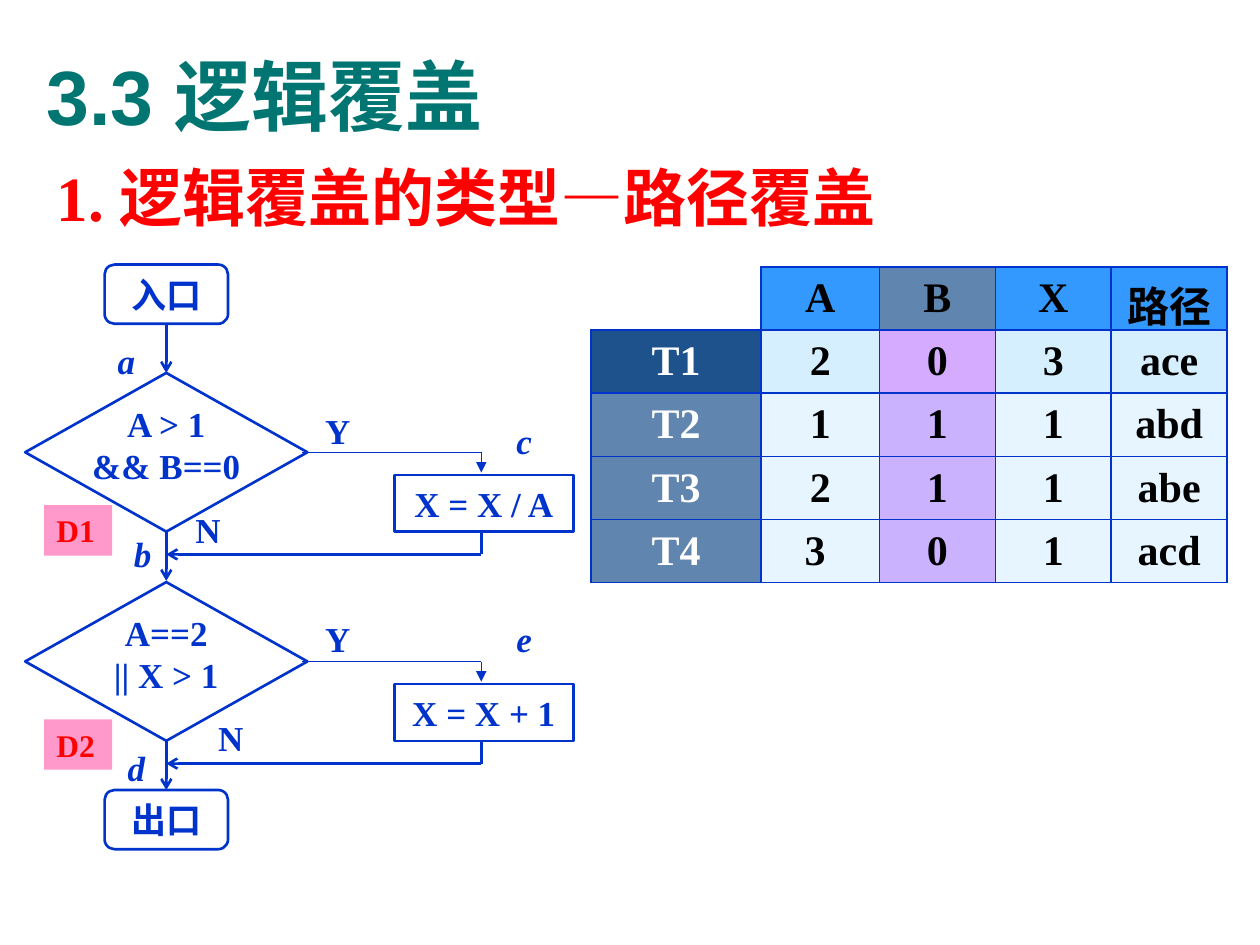
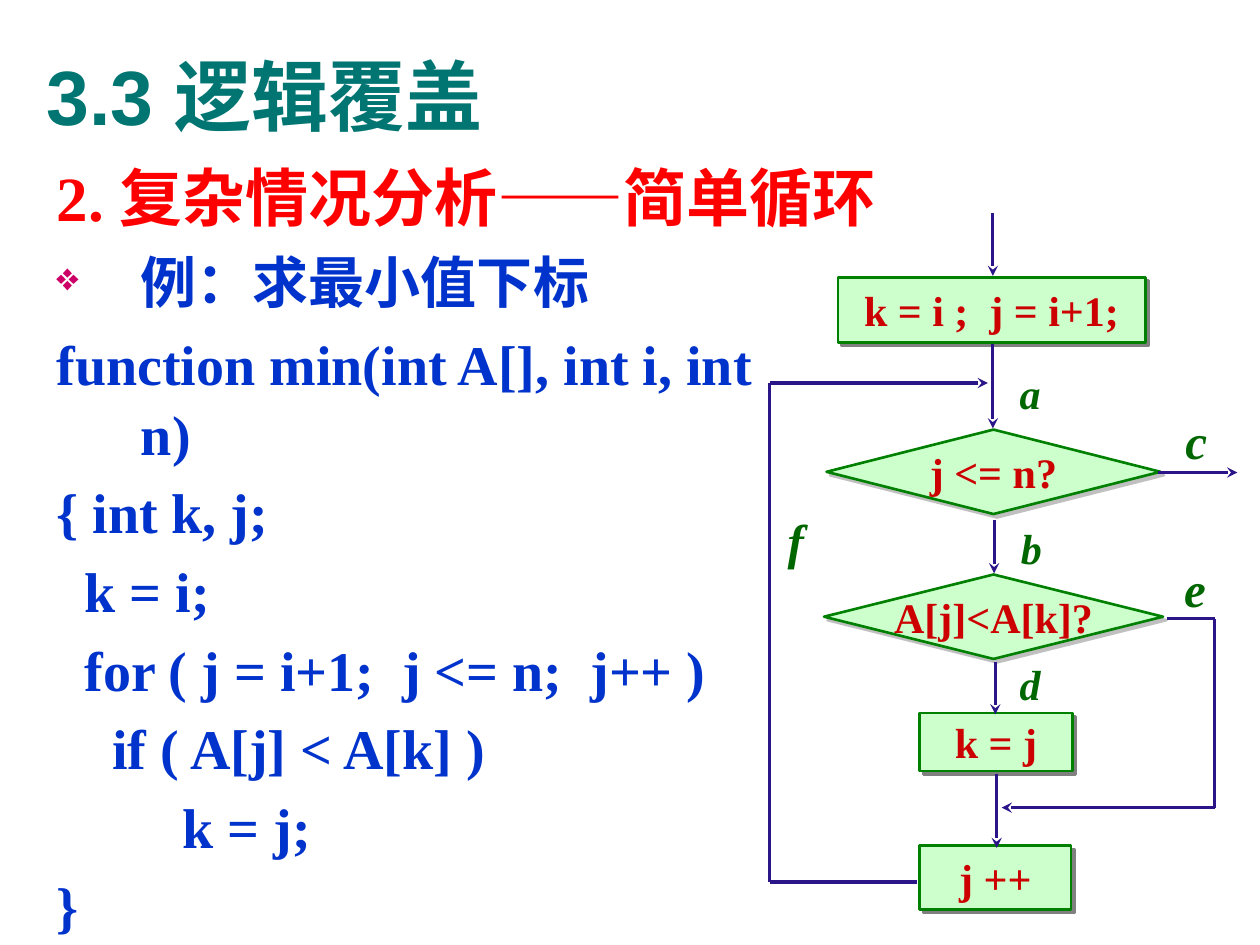
"""Build two slides on logic coverage: path coverage and a simple loop."""
from lxml import etree
from pptx import Presentation
from pptx import util as u
from pptx.dml.color import RGBColor
from pptx.enum import shapes, text
from pptx.oxml.ns import qn


class Theme:
    title, heading, blue, red = "007572", "FF0000", "0033CC", "CC0000"
    tag, mint, green, label, arrow = "FF99CC", "CCFFCC", "008000", "006600", "2C1588"
    bullet, black, white = "CC0066", "000000", "FFFFFF"
    sans, serif = "Arial", "Times New Roman"
    title_size, heading_size, body_size = 44, 36, 32
    big_size, node_size, flow_size, tag_size = 28, 24, 20, 18


LEFT, CENTER, RIGHT = text.PP_ALIGN.LEFT, text.PP_ALIGN.CENTER, text.PP_ALIGN.RIGHT
TOP, MIDDLE = text.MSO_ANCHOR.TOP, text.MSO_ANCHOR.MIDDLE
PRESET = shapes.MSO_SHAPE


def add_box(page, frame, lines, size, color, preset=None, fill=None, line=None,
            shadow=None, align=CENTER, anchor=MIDDLE, font=Theme.serif, italic=False):
    """Add a text box or preset shape; each line is a string or a list of (text, font)."""
    place = [u.Inches(value) for value in frame]
    if preset is None:
        box = page.shapes.add_textbox(*place)
    else:
        box = page.shapes.add_shape(preset, *place)
        box.shadow.inherit = False
        if fill:
            box.fill.solid()
            box.fill.fore_color.rgb = RGBColor.from_string(fill)
        else:
            box.fill.background()
        if line:
            box.line.color.rgb = RGBColor.from_string(line)
            box.line.width = u.Pt(1.5)
        else:
            box.line.fill.background()
    if shadow:
        effects = box._element.spPr.find(qn("a:effectLst"))
        outer = etree.SubElement(effects, qn("a:outerShdw"), dist=str(u.Pt(2.8)),
                                 dir="2700000", algn="ctr", rotWithShape="0")
        etree.SubElement(outer, qn("a:srgbClr"), val=shadow)
    body = box.text_frame
    body.word_wrap = align != CENTER
    body.vertical_anchor = anchor
    for index, content in enumerate(lines):
        para = body.add_paragraph() if index else body.paragraphs[0]
        para.alignment = align
        para.font.size, para.font.bold = u.Pt(size), True
        para.font.italic = italic
        para.font.color.rgb = RGBColor.from_string(color)
        if isinstance(content, str):
            para.font.name = font
            para.add_run().text = content
        else:
            for words, name in content:
                span = para.add_run()
                span.text, span.font.name = words, name
    return box


def add_line(page, start, end, color, width=1.5, head=None):
    """Add a straight connector with an optional arrowhead at its end."""
    line = page.shapes.add_connector(shapes.MSO_CONNECTOR.STRAIGHT,
                                     *[u.Inches(value) for value in (*start, *end)])
    line.line.color.rgb = RGBColor.from_string(color)
    line.line.width = u.Pt(width)
    if head:
        etree.SubElement(line.line._ln, qn("a:tailEnd"), type=head)
    etree.SubElement(line._element.spPr, qn("a:effectLst"))


deck = Presentation()
deck.slide_width, deck.slide_height = u.Inches(10), u.Inches(7.5)
headings = [("1. ", "逻辑覆盖的类型", "—", "路径覆盖"),
            ("2. ", "复杂情况分析", "——", "简单循环")]
pages = []
for parts in headings:
    page = deck.slides.add_slide(deck.slide_layouts[6])
    add_box(page, (0.27, 0.13, 9.34, 1.25), ["3.3 逻辑覆盖"], Theme.title_size,
            Theme.title, align=LEFT, font=Theme.sans)
    spans = list(zip(parts, (Theme.serif, Theme.sans) * 2))
    box = add_box(page, (0.35, 1.15, 9.21, 0.9), [spans], Theme.heading_size,
                  Theme.heading, align=LEFT, anchor=TOP)
    box.text_frame.paragraphs[0].line_spacing = 1.1
    pages.append(page)
coverage, loop = pages

rows = [("", "A", "B", "X", "路径"),
        ("T1", "2", "0", "3", "ace"),
        ("T2", "1", "1", "1", "abd"),
        ("T3", "2", "1", "1", "abe"),
        ("T4", "3 ", "0", "1", "acd")]
header_fills = [None, ("3399FF", 100), ("1D528D", 70)]
first_fills = [("1D528D", 100), ("CCECFF", 80), ("CC99FF", 82)]
other_fills = [("1D528D", 70), ("CCECFF", 48), ("9966FF", 50)]
row_fills = [header_fills, first_fills] + [other_fills] * 3
column_kinds = [0, 1, 2, 1, 1]

table = coverage.shapes.add_table(5, 5, u.Inches(4.69), u.Inches(2.12),
                                  u.Inches(5.06), u.Inches(2.5)).table
table.first_row = table.horz_banding = False
table._tbl.tblPr.find(qn("a:tableStyleId")).text = "{2D5ABB26-0587-4C30-8999-92F81FD0307C}"
for column, width in zip(table.columns, (1.35, 0.94, 0.92, 0.92, 0.92)):
    column.width = u.Inches(width)
for row, values in enumerate(rows):
    for column, value in enumerate(values):
        cell = table.cell(row, column)
        fill = row_fills[row][column_kinds[column]]
        properties = cell._tc.get_or_add_tcPr()
        for side in ("lnL", "lnR", "lnT", "lnB") if fill else ("lnR", "lnB"):
            border = etree.SubElement(properties, qn("a:" + side), w=str(u.Pt(1)))
            ink = etree.SubElement(border, qn("a:solidFill"))
            etree.SubElement(ink, qn("a:srgbClr"), val=Theme.blue)
        if not fill:
            cell.fill.background()
            continue
        color, opacity = fill
        cell.fill.solid()
        cell.fill.fore_color.rgb = RGBColor.from_string(color)
        if opacity < 100:
            etree.SubElement(properties.find(qn("a:solidFill"))[0], qn("a:alpha"),
                             val=str(opacity * 1000))
        cell.vertical_anchor = MIDDLE
        para = cell.text_frame.paragraphs[0]
        para.alignment = CENTER
        para.font.name, para.font.size = Theme.serif, u.Pt(Theme.node_size)
        para.font.bold = True
        para.font.color.rgb = RGBColor.from_string(Theme.black if column else Theme.white)
        para.add_run().text = value

for top, words in ((2.1, "入口"), (6.27, "出口")):
    add_box(coverage, (0.83, top, 0.98, 0.47), [words], Theme.flow_size, Theme.blue,
            PRESET.FLOWCHART_ALTERNATE_PROCESS, line=Theme.blue)
add_line(coverage, (1.32, 2.57), (1.32, 2.96), Theme.blue, head="arrow")

decisions = [(["A > 1", "&& B==0"], "X = X / A", "D1", 4.01),
             (["A==2", "|| X > 1"], "X = X + 1", "D2", 5.71)]
for index, (condition, action, tag, tag_top) in enumerate(decisions):
    top = 2.96 + 1.66 * index
    middle, bottom, merge = top + 0.63, top + 1.26, top + 1.44
    box = add_box(coverage, (0.2, top, 2.24, 1.26), condition, Theme.flow_size,
                  Theme.blue, PRESET.FLOWCHART_DECISION, line=Theme.blue)
    frame = box.text_frame
    frame.margin_left = frame.margin_right = u.Inches(0.02)
    frame.margin_top, frame.margin_bottom = u.Inches(0.01), u.Inches(0.13)
    add_box(coverage, (3.13, top + 0.81, 1.42, 0.45), [action], Theme.flow_size,
            Theme.blue, PRESET.RECTANGLE, line=Theme.blue)
    add_line(coverage, (1.32, bottom), (1.32, top + 1.65), Theme.blue, head="arrow")
    add_line(coverage, (2.4, middle), (3.82, middle), Theme.blue, 0.75)
    add_line(coverage, (3.82, middle), (3.82, top + 0.79), Theme.blue, 0.75, "triangle")
    add_line(coverage, (3.82, bottom), (3.82, merge), Theme.blue)
    add_line(coverage, (3.82, merge), (1.32, merge), Theme.blue, head="arrow")
    add_box(coverage, (0.35, tag_top, 0.54, 0.4), [tag], Theme.tag_size,
            Theme.heading, PRESET.RECTANGLE, fill=Theme.tag, align=LEFT)

flow_labels = [("Y", 2.46, 3.2), ("Y", 2.46, 4.85), ("N", 1.43, 3.99), ("N", 1.61, 5.64),
               ("a", 0.75, 2.65), ("b", 0.88, 4.18), ("c", 3.9, 3.28),
               ("d", 0.83, 5.88), ("e", 3.9, 4.85)]
for words, left, top in flow_labels:
    add_box(coverage, (left, top, 0.42, 0.43), [words], Theme.flow_size, Theme.blue,
            align=RIGHT, italic=words.islower())

code = ["function min(int A[], int i, int n)",
        "{ int k, j;",
        "  k = i;",
        "  for ( j = i+1;  j <= n;  j++ )",
        "    if ( A[j] < A[k] )",
        "         k = j;",
        "}"]
box = add_box(loop, (0.35, 1.86, 5.83, 5.59), [[("例：求最小值下标", Theme.sans)], *code],
              Theme.body_size, Theme.blue, align=LEFT, anchor=TOP)
example, *code_paras = box.text_frame.paragraphs
example.line_spacing, example.space_after = 1.1, u.Pt(2)
for para in code_paras:
    para.line_spacing, para.space_before = 1.04, u.Pt(5)
for para in box.text_frame.paragraphs:
    properties = para._p.get_or_add_pPr()
    properties.set("marL", str(u.Inches(0.67)))
    properties.set("indent", str(u.Inches(-0.67)))
properties = example._p.pPr
marks = [etree.Element(qn("a:buClr")), etree.Element(qn("a:buSzPct"), val="70000"),
         etree.Element(qn("a:buChar"), char="❖")]
etree.SubElement(marks[0], qn("a:srgbClr"), val=Theme.bullet)
for mark in marks:
    properties.find(qn("a:defRPr")).addprevious(mark)

nodes = [("k = i ;  j = i+1;", PRESET.RECTANGLE, (6.65, 2.2, 2.44, 0.52)),
         ("j <= n?", PRESET.DIAMOND, (6.56, 3.41, 2.65, 0.67)),
         ("A[j]<A[k]?", PRESET.DIAMOND, (6.54, 4.56, 2.69, 0.67)),
         ("k = j", PRESET.RECTANGLE, (7.3, 5.66, 1.21, 0.46)),
         ("j ++", PRESET.RECTANGLE, (7.3, 6.71, 1.2, 0.51))]
for words, preset, frame in nodes:
    shade = "808080" if preset == PRESET.RECTANGLE else "C0C0C0"
    add_box(loop, frame, [words], Theme.node_size, Theme.red, preset,
            fill=Theme.mint, line=Theme.green, shadow=shade)

arrows = [((7.88, 1.69), (7.88, 2.19)), ((7.88, 2.73), (7.88, 3.4)),
          ((7.89, 4.13), (7.89, 4.55)), ((7.9, 5.25), (7.9, 5.67)),
          ((7.91, 6.14), (7.91, 6.73)), ((9.64, 6.41), (7.95, 6.41)),
          ((9.19, 3.75), (9.82, 3.75)), ((6.11, 3.04), (7.84, 3.04))]
links = [((9.26, 4.91), (9.64, 4.91)), ((9.64, 4.91), (9.64, 6.41)),
         ((7.28, 7), (6.11, 7)), ((6.11, 7), (6.11, 3.04))]
for head, segments in (("stealth", arrows), (None, links)):
    for start, end in segments:
        add_line(loop, start, end, Theme.arrow, 1.75, head)

loop_labels = [("a", 7.99, 2.87, Theme.node_size), ("b", 8, 4.1, Theme.node_size),
               ("c", 9.31, 3.21, Theme.big_size), ("d", 7.99, 5.18, Theme.node_size),
               ("e", 9.3, 4.38, Theme.big_size), ("f", 6.13, 4, Theme.big_size)]
for words, left, top, size in loop_labels:
    height = 0.57 if size == Theme.big_size else 0.5
    add_box(loop, (left, top, 0.37, height), [words], size, Theme.label, italic=True)

deck.save("out.pptx")
